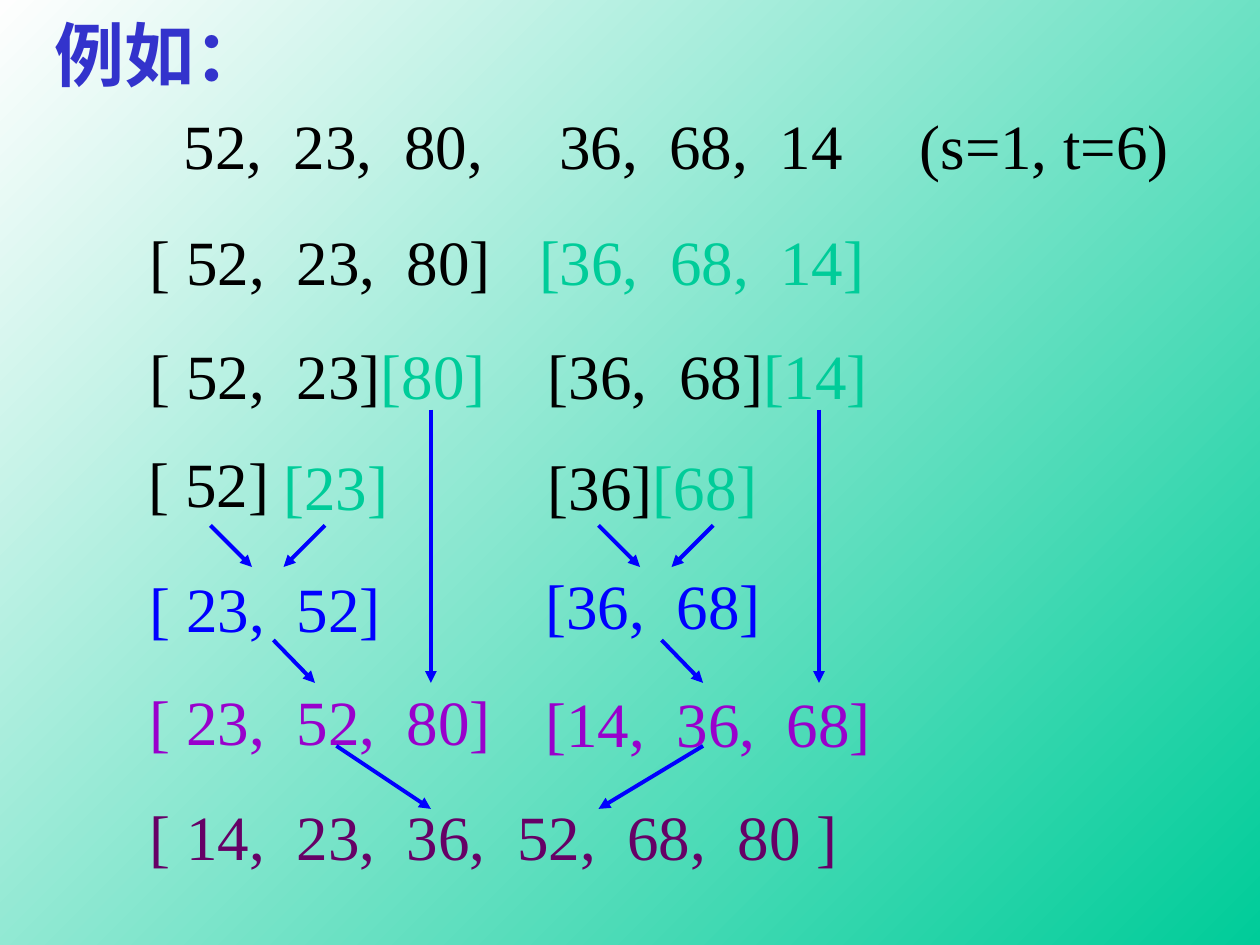
from lxml import etree
from pptx import Presentation
from pptx.dml.color import RGBColor
from pptx.enum import shapes, text
from pptx.oxml.ns import qn
from pptx.util import Inches, Pt

COLORS = {
    "title": "3333CC", "black": "000000", "green": "00CC99", "blue": "0000FF",
    "violet": "9900CC", "plum": "660066", "white": "FEFEFE",
}


def write(frame, runs, tabs=()):
    """Fill a frame with (wording, colour, size) runs; tab stops are in inches."""
    frame.word_wrap = False
    frame.auto_size = text.MSO_AUTO_SIZE.NONE
    frame.vertical_anchor = text.MSO_ANCHOR.TOP
    paragraph = frame.paragraphs[0]
    paragraph.alignment = text.PP_ALIGN.LEFT
    if tabs:
        stops = etree.SubElement(paragraph._p.get_or_add_pPr(), qn("a:tabLst"))
        for stop in tabs:
            etree.SubElement(stops, qn("a:tab"), pos=str(Inches(stop)), algn="l")
    for wording, color, size in runs:
        run = paragraph.add_run()
        run.text = wording
        run.font.name = "Times New Roman"
        run.font.size = Pt(size)
        run.font.color.rgb = RGBColor.from_string(COLORS[color])


prs = Presentation()
prs.slide_width, prs.slide_height = Inches(10), Inches(7.5)
slide = prs.slides.add_slide(prs.slide_layouts[5])

background = slide.background.fill
background.gradient()
background.gradient_angle = 135
for stop, color in zip(background.gradient_stops, ("green", "white")):
    stop.color.rgb = RGBColor.from_string(COLORS[color])

title = slide.shapes.title
title.left, title.top = Inches(0.33), Inches(0.04)
title.width, title.height = Inches(1.86), Inches(0.77)
write(title.text_frame, [("例如：", "title", 40)])
title.text_frame.paragraphs[0].runs[0].font.bold = True

# Each sequence: left, top, width, height, tab stops, runs
sequences = [
    (1.36, 0.8, 8.05, 0.7, (2.98, 5.84),
     [("52,  23,  80,\t36,  68,  14\t(s=1, t=6)", "black", 36)]),
    (1.09, 1.66, 5.9, 0.77, (3.09,),
     [("[ 52,  23,  80]", "black", 36), ("\t", "black", 40),
      ("[36,  68,  14]", "green", 36)]),
    (1.09, 2.62, 2.86, 0.7, (), [("[ 52,  23]", "black", 36), ("[80]", "green", 36)]),
    (4.25, 2.62, 2.74, 0.7, (), [("[36,  68]", "black", 36), ("[14]", "green", 36)]),
    (1.08, 3.48, 1.25, 0.7, (), [("[ 52]", "black", 36)]),
    (2.15, 3.5, 1.03, 0.7, (), [("[23]", "green", 36)]),
    (4.25, 3.5, 1.86, 0.7, (), [("[36]", "black", 36), ("[68]", "green", 36)]),
    (1.09, 4.47, 2.03, 0.7, (), [("[ 23,  52]", "blue", 36)]),
    (4.23, 4.45, 1.91, 0.7, (), [("[36,  68]", "blue", 36)]),
    (1.09, 5.37, 2.91, 0.7, (), [("[ 23,  52,  80]", "violet", 36)]),
    (4.23, 5.38, 2.78, 0.7, (), [("[14,  36,  68]", "violet", 36)]),
    (1.09, 6.28, 5.66, 0.7, (), [("[ 14,  23,  36,  52,  68,  80 ]", "plum", 36)]),
]
for left, top, width, height, tabs, runs in sequences:
    box = slide.shapes.add_textbox(Inches(left), Inches(top), Inches(width), Inches(height))
    write(box.text_frame, runs, tabs)

# Both halves merge in the same way, one half-width apart
HALF_WIDTH = 3.08
half_merges = [
    (1.67, 4.17, 2, 4.5),
    (2.58, 4.17, 2.25, 4.5),
    (2.17, 5.08, 2.5, 5.42),
    (3.42, 3.25, 3.42, 5.42),
]
merges = [(x1 + shift, y1, x2 + shift, y2)
          for shift in (0, HALF_WIDTH) for x1, y1, x2, y2 in half_merges]
merges += [(2.67, 5.92, 3.42, 6.42), (5.58, 5.92, 4.75, 6.42)]
for merge in merges:
    arrow = slide.shapes.add_connector(
        shapes.MSO_CONNECTOR.STRAIGHT, *(Inches(value) for value in merge))
    arrow.line.color.rgb = RGBColor.from_string(COLORS["blue"])
    arrow.line.width = Pt(2.25)
    etree.SubElement(arrow.line._get_or_add_ln(), qn("a:tailEnd"), type="triangle")
    etree.SubElement(arrow._element.spPr, qn("a:effectLst"))

prs.save("out.pptx")
